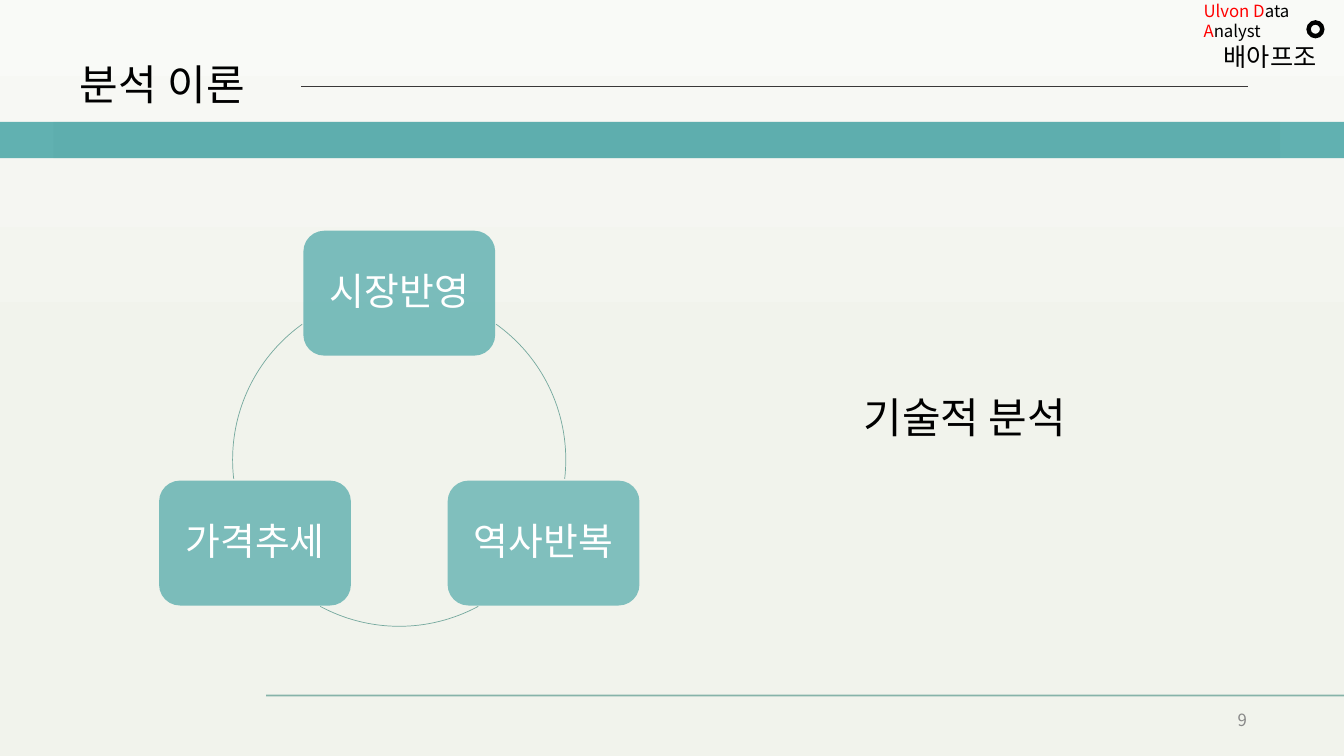
from copy import deepcopy
from dataclasses import dataclass
from math import cos, radians, sin

from lxml.etree import SubElement
from pptx import Presentation
from pptx.dml.color import RGBColor
from pptx.enum.shapes import MSO_CONNECTOR, MSO_SHAPE
from pptx.enum.text import MSO_ANCHOR, MSO_AUTO_SIZE, PP_ALIGN
from pptx.oxml.ns import qn
from pptx.util import Pt


@dataclass(frozen=True)
class Theme:
    background: tuple = ("F9FAF7", "F1F3EC", "EFF2EA")
    teal: str = "49A6A6"
    sage: str = "75A99E"
    charcoal: str = "3A3838"
    black: str = "000000"
    white: str = "FFFFFF"
    red: str = "FF0000"
    grey: str = "888888"
    body_font: str = "Noto Sans CJK KR"
    title_font: str = "Lato"
    heading: float = 30
    node: float = 27
    team: float = 18
    small: float = 12


THEME = Theme()
CYCLE_CENTER = (285.2, 328.4)
CYCLE_RADIUS = 119
NODE_SIZE = (137, 89.2)
# Label, angle on the circle in degrees, opacity in percent
NODES = (("시장반영", -90, 71), ("역사반복", 30, 67), ("가격추세", 150, 70))
# Start and end angles of the arcs between nodes
ARCS = ((305.6, 6.6), (61.7, 118.3), (173.4, 234.4))


def set_opacity(element, percent):
    color = element.find(".//" + qn("a:srgbClr"))
    SubElement(color, qn("a:alpha"), val=str(percent * 1000))


def set_font(paragraph, size, color, name=THEME.body_font):
    """Set the font for Latin and Korean letters alike."""
    font = paragraph.font
    font.size = Pt(size)
    font.color.rgb = RGBColor.from_string(color)
    font.name = name
    properties = paragraph._p.pPr.find(qn("a:defRPr"))
    SubElement(properties, qn("a:ea"), typeface=name)


def set_frame(frame, inset=3.6, anchor=MSO_ANCHOR.TOP, wrap=True):
    frame.margin_left = frame.margin_right = Pt(inset)
    frame.margin_top = frame.margin_bottom = Pt(inset)
    frame.auto_size = MSO_AUTO_SIZE.NONE
    frame.vertical_anchor = anchor
    frame.word_wrap = wrap


def paint_background(slide):
    fill = slide.background.fill
    fill.gradient()
    fill.gradient_angle = 270
    stop_list = slide.element.find(".//" + qn("a:gsLst"))
    stop_list.insert(1, deepcopy(stop_list[0]))
    for index, stop in enumerate(fill.gradient_stops):
        stop.position = index / 2
        stop.color.rgb = RGBColor.from_string(THEME.background[index])


def add_filled(slide, kind, left, top, width, height, color, opacity=100):
    shape = slide.shapes.add_shape(kind, Pt(left), Pt(top), Pt(width), Pt(height))
    shape.shadow.inherit = False
    shape.fill.solid()
    shape.fill.fore_color.rgb = RGBColor.from_string(color)
    shape.line.fill.background()
    if opacity < 100:
        set_opacity(shape._element.spPr, opacity)
    return shape


def add_rule(slide, left, right, y, color, weight, opacity=100):
    rule = slide.shapes.add_connector(
        MSO_CONNECTOR.STRAIGHT, Pt(left), Pt(y), Pt(right), Pt(y))
    rule.line.color.rgb = RGBColor.from_string(color)
    rule.line.width = Pt(weight)
    if opacity < 100:
        set_opacity(rule._element.spPr, opacity)
    SubElement(rule._element.spPr, qn("a:effectLst"))


def add_text(slide, left, top, width, height, text, size, color,
             align=PP_ALIGN.LEFT, **frame_options):
    box = slide.shapes.add_textbox(Pt(left), Pt(top), Pt(width), Pt(height))
    set_frame(box.text_frame, **frame_options)
    paragraph = box.text_frame.paragraphs[0]
    paragraph.text = text
    paragraph.alignment = align
    set_font(paragraph, size, color)


def add_title(slide, text):
    title = slide.shapes.title
    title.left, title.top, title.width, title.height = map(Pt, (53.3, 36.7, 141.8, 50.4))
    set_frame(title.text_frame, anchor=MSO_ANCHOR.MIDDLE)
    paragraph = title.text_frame.paragraphs[0]
    paragraph.text = text
    paragraph.alignment = PP_ALIGN.LEFT
    paragraph.line_spacing = 0.9
    set_font(paragraph, THEME.heading, THEME.black, THEME.title_font)


def add_team_label(slide):
    box = slide.shapes.add_textbox(Pt(856.1), Pt(-2.9), Pt(102.2), Pt(38.9))
    set_frame(box.text_frame)
    course = box.text_frame.paragraphs[0]
    set_font(course, THEME.small, THEME.black)
    for text, color in (("Ulvon D", THEME.red), ("ata ", THEME.black),
                        ("A", THEME.red), ("nalyst", THEME.black)):
        run = course.add_run()
        run.text = text
        run.font.color.rgb = RGBColor.from_string(color)
    team = box.text_frame.add_paragraph()
    team.text = "배아프조"
    team.alignment = PP_ALIGN.CENTER
    set_font(team, THEME.team, THEME.black)


def add_arc(slide, start, end):
    x, y = CYCLE_CENTER
    diameter = Pt(2 * CYCLE_RADIUS)
    arc = slide.shapes.add_shape(
        MSO_SHAPE.ARC, Pt(x - CYCLE_RADIUS), Pt(y - CYCLE_RADIUS), diameter, diameter)
    # Arc angles are stored as 60000ths of a degree, scaled by 100000
    arc.adjustments[0], arc.adjustments[1] = start * 0.6, end * 0.6
    arc.shadow.inherit = False
    arc.fill.background()
    arc.line.color.rgb = RGBColor.from_string(THEME.sage)
    arc.line.width = Pt(0.5)


def add_node(slide, label, angle, opacity):
    width, height = NODE_SIZE
    left = CYCLE_CENTER[0] + CYCLE_RADIUS * cos(radians(angle)) - width / 2
    top = CYCLE_CENTER[1] + CYCLE_RADIUS * sin(radians(angle)) - height / 2
    node = add_filled(slide, MSO_SHAPE.ROUNDED_RECTANGLE, left, top, width, height,
                      THEME.teal, opacity)
    set_frame(node.text_frame, anchor=MSO_ANCHOR.MIDDLE)
    paragraph = node.text_frame.paragraphs[0]
    paragraph.text = label
    paragraph.alignment = PP_ALIGN.CENTER
    paragraph.line_spacing = 0.9
    set_font(paragraph, THEME.node, THEME.white)


def main():
    presentation = Presentation()
    presentation.slide_width, presentation.slide_height = Pt(960), Pt(540)
    slide = presentation.slides.add_slide(presentation.slide_layouts[5])
    paint_background(slide)

    add_filled(slide, MSO_SHAPE.DONUT, 933.1, 14.4, 13, 13, THEME.black)
    add_team_label(slide)
    add_filled(slide, MSO_SHAPE.RECTANGLE, 38.2, 87.1, 876.2, 25.9, THEME.charcoal, 11)
    add_filled(slide, MSO_SHAPE.RECTANGLE, -0.7, 87.1, 961.9, 25.9, THEME.teal, 86)
    add_rule(slide, 215.3, 891.4, 61.9, THEME.charcoal, 0.5)
    add_title(slide, "분석 이론")

    for start, end in ARCS:
        add_arc(slide, start, end)
    for label, angle, opacity in NODES:
        add_node(slide, label, angle, opacity)

    add_text(slide, 613.4, 275.8, 163.4, 82.1, "기술적 분석", THEME.heading, THEME.black)
    add_rule(slide, 190.1, 960, 496.8, THEME.sage, 1.25, 85)
    add_text(slide, 879.1, 504, 15.1, 20.9, "9", THEME.small, THEME.grey,
             align=PP_ALIGN.RIGHT, anchor=MSO_ANCHOR.MIDDLE, wrap=False)
    presentation.save("out.pptx")


if __name__ == "__main__":
    main()
